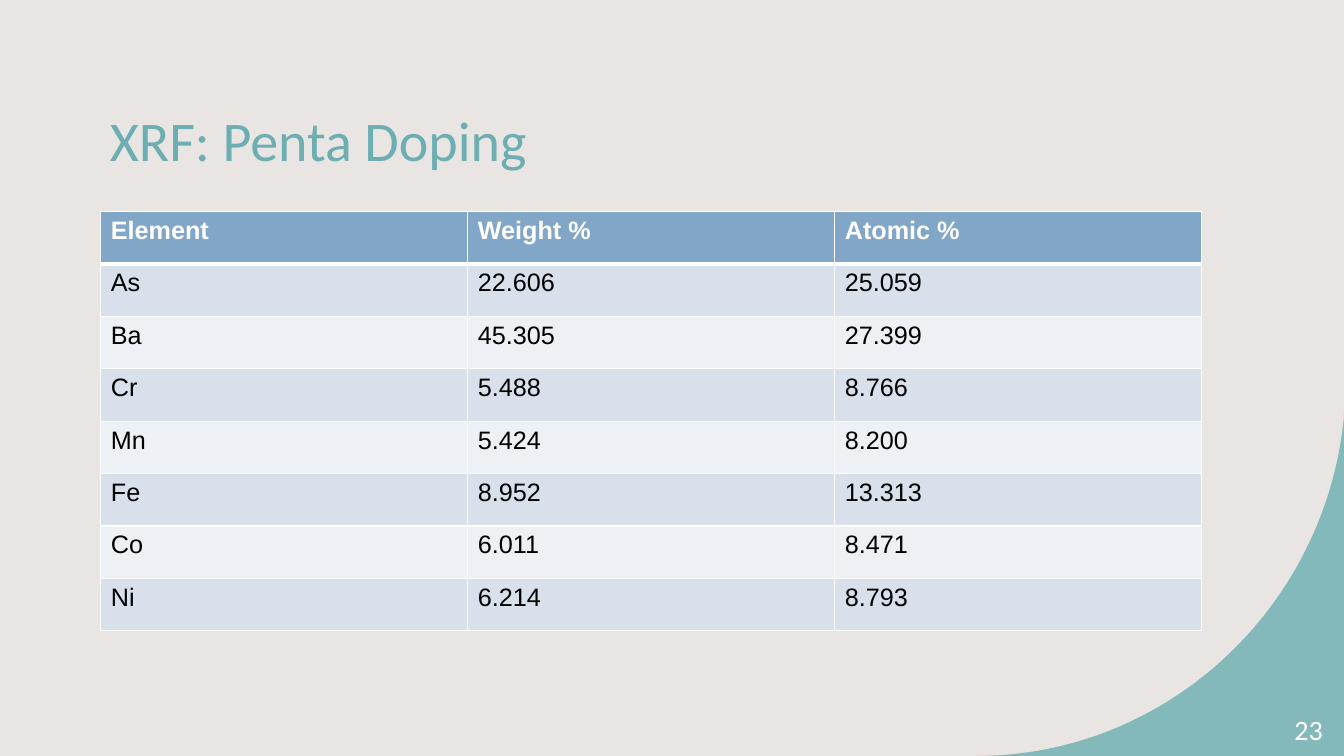
"""Build the slide with the XRF results for penta doping."""
from typing import NamedTuple

from lxml.etree import SubElement
from pptx import Presentation
from pptx.dml.color import RGBColor
from pptx.enum.text import MSO_ANCHOR as Anchor, MSO_AUTO_SIZE as AutoSize, PP_ALIGN as Align
from pptx.oxml.ns import qn
from pptx.util import Inches, Pt

BACKGROUND = RGBColor(0xE8, 0xE5, 0xE2)
TEAL = RGBColor(0x6C, 0xAE, 0xB2)
HEADER_BLUE = RGBColor(0x81, 0xA6, 0xC7)
BAND_DARK = RGBColor(0xD8, 0xE1, 0xEB)
BAND_LIGHT = RGBColor(0xED, 0xF1, 0xF5)
WHITE = RGBColor(0xFF, 0xFF, 0xFF)
BLACK = RGBColor(0x00, 0x00, 0x00)

COLUMN_WIDTH = 3.64
ROW_HEIGHT = 0.52
CURVE_STEPS = 80
CURVE = ((9.68, 7.5), (11.58, 7.5), (13.15, 6.02), (13.33, 4.13))
CORNER_TOP = (13.33, 4.08)
CORNER_BOTTOM = (13.33, 7.5)


class Measurement(NamedTuple):
    element: str
    weight: str
    atomic: str


class TextStyle(NamedTuple):
    font: str
    size: float
    color: RGBColor
    bold: bool = False


HEADINGS = Measurement("Element", "Weight %", "Atomic %")
MEASUREMENTS = (
    Measurement("As", "22.606", "25.059"),
    Measurement("Ba", "45.305", "27.399"),
    Measurement("Cr", "5.488", "8.766"),
    Measurement("Mn", "5.424", "8.200"),
    Measurement("Fe", "8.952", "13.313"),
    Measurement("Co", "6.011", "8.471"),
    Measurement("Ni", "6.214", "8.793"),
)
TITLE_STYLE = TextStyle("Calibri", 40, TEAL)
NUMBER_STYLE = TextStyle("Calibri", 20, WHITE)
HEADING_STYLE = TextStyle("Arial", 18, WHITE, True)
VALUE_STYLE = TextStyle("Arial", 18, BLACK)


def write(text_frame, text: str, style: TextStyle, align: Align = Align.LEFT) -> None:
    paragraph = text_frame.paragraphs[0]
    paragraph.alignment = align
    run = paragraph.add_run()
    run.text = text
    run.font.name = style.font
    run.font.size = Pt(style.size)
    run.font.bold = style.bold
    run.font.color.rgb = style.color


def curve_point(t: float) -> tuple[int, int]:
    weights = ((1 - t) ** 3, 3 * t * (1 - t) ** 2, 3 * t ** 2 * (1 - t), t ** 3)
    x, y = (sum(w * p[axis] for w, p in zip(weights, CURVE)) for axis in (0, 1))
    return Inches(x), Inches(y)


def add_corner(slide) -> None:
    points = [curve_point(step / CURVE_STEPS) for step in range(CURVE_STEPS + 1)]
    points += [(Inches(x), Inches(y)) for x, y in (CORNER_TOP, CORNER_BOTTOM)]
    builder = slide.shapes.build_freeform(*points[0])
    builder.add_line_segments(points[1:], close=True)
    corner = builder.convert_to_shape()
    corner.shadow.inherit = False
    corner.line.fill.background()
    corner.fill.solid()
    corner.fill.fore_color.rgb = TEAL
    color = corner.fill._xPr.find(qn("a:solidFill"))[0]
    SubElement(color, qn("a:alpha"), val="80000")


def add_title(slide, text: str) -> None:
    title = slide.shapes.title
    title.left, title.top = Inches(0.99), Inches(0.65)
    title.width, title.height = Inches(10.84), Inches(1.45)
    title.text_frame.vertical_anchor = Anchor.MIDDLE
    title.text_frame.auto_size = AutoSize.NONE
    write(title.text_frame, text, TITLE_STYLE)


def set_borders(cell, top: float, bottom: float) -> None:
    properties = cell._tc.get_or_add_tcPr()
    for side, width in (("L", 1), ("R", 1), ("T", top), ("B", bottom)):
        line = SubElement(properties, qn(f"a:ln{side}"), w=str(Pt(width)))
        fill = SubElement(line, qn("a:solidFill"))
        SubElement(fill, qn("a:srgbClr"), val=str(WHITE))


def add_results(slide) -> None:
    rows = (HEADINGS, *MEASUREMENTS)
    columns = len(HEADINGS)
    table = slide.shapes.add_table(
        len(rows), columns, Inches(1), Inches(2.1),
        Inches(COLUMN_WIDTH * columns), Inches(ROW_HEIGHT * len(rows)),
    ).table
    for column in table.columns:
        column.width = Inches(COLUMN_WIDTH)
    for row_index, measurement in enumerate(rows):
        table.rows[row_index].height = Inches(ROW_HEIGHT)
        is_header = row_index == 0
        band = BAND_DARK if row_index % 2 else BAND_LIGHT
        for column_index, text in enumerate(measurement):
            cell = table.cell(row_index, column_index)
            set_borders(cell, 3 if row_index == 1 else 1, 3 if is_header else 1)
            cell.fill.solid()
            cell.fill.fore_color.rgb = HEADER_BLUE if is_header else band
            write(cell.text_frame, text, HEADING_STYLE if is_header else VALUE_STYLE)


def add_slide_number(slide, number: str) -> None:
    box = slide.shapes.add_textbox(Inches(12.46), Inches(7.04), Inches(0.76), Inches(0.4))
    box.text_frame.word_wrap = True
    box.text_frame.vertical_anchor = Anchor.MIDDLE
    write(box.text_frame, number, NUMBER_STYLE, Align.RIGHT)


def main() -> None:
    presentation = Presentation()
    presentation.slide_width = Inches(13.33)
    presentation.slide_height = Inches(7.5)
    slide = presentation.slides.add_slide(presentation.slide_layouts.get_by_name("Title Only"))
    slide.background.fill.solid()
    slide.background.fill.fore_color.rgb = BACKGROUND
    add_corner(slide)
    add_title(slide, "XRF: Penta Doping")
    add_results(slide)
    add_slide_number(slide, "23")
    presentation.save("out.pptx")


if __name__ == "__main__":
    main()
